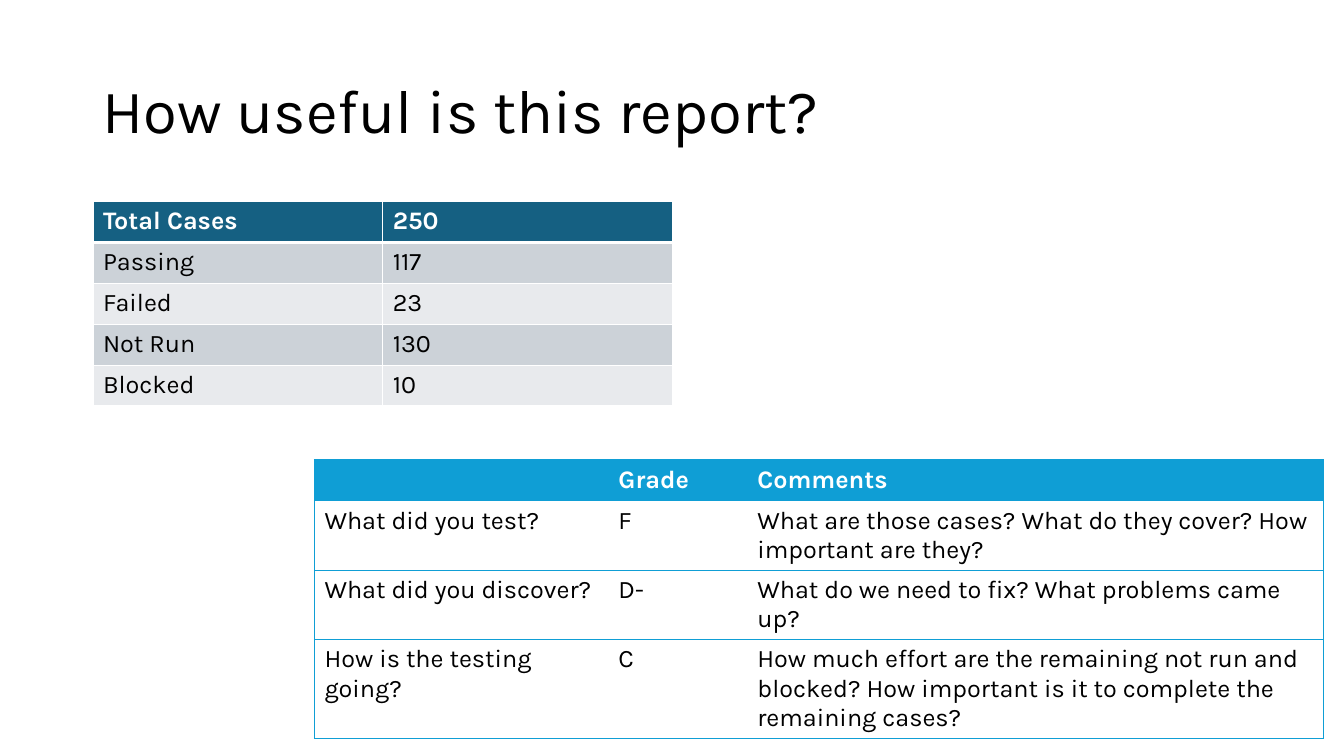
from lxml import etree
from pptx import Presentation
from pptx.dml.color import RGBColor
from pptx.enum.text import MSO_ANCHOR, PP_ALIGN
from pptx.oxml.ns import qn
from pptx.util import Pt

MIDDLE = MSO_ANCHOR.MIDDLE
LEFT = PP_ALIGN.LEFT
FONT = "Karla"
BLACK, WHITE = "000000", "FFFFFF"
TEAL, BLUE = "156082", "0F9ED5"
BANDS = ("CCD2D8", "E8EAED")

COUNTS = [
    ("Total Cases", "250"),
    ("Passing", "117"),
    ("Failed", "23"),
    ("Not Run", "130"),
    ("Blocked", "10"),
]
GRADES = [
    ("", "Grade", "Comments"),
    ("What did you test?", "F",
     "What are those cases? What do they cover? How important are they?"),
    ("What did you discover?", "D-",
     "What do we need to fix? What problems came up?"),
    ("How is the testing going?", "C",
     "How much effort are the remaining not run and blocked? "
     "How important is it to complete the remaining cases?"),
]


def color(code):
    return RGBColor.from_string(code)


def write(frame, text, size, tint, bold=False):
    para = frame.paragraphs[0]
    para.alignment = LEFT
    if text:
        run = para.add_run()
        run.text = text
        font = run.font
        font.name, font.size, font.bold = FONT, Pt(size), bold
        font.color.rgb = color(tint)
    return para


def edge(cell, side, tint, width):
    """Draw one cell border (side L, R, T or B); no tint hides it."""
    props = cell._tc.get_or_add_tcPr()
    line = etree.SubElement(props, qn(f"a:ln{side}"), w=str(Pt(width)))
    if tint:
        fill = etree.SubElement(line, qn("a:solidFill"))
        etree.SubElement(fill, qn("a:srgbClr"), val=tint)
    else:
        etree.SubElement(line, qn("a:noFill"))


def add_grid(slide, box, data, widths, heights, style):
    """Add a table; style(row, col) gives the fill and the L, R, T, B edges."""
    left, top = box
    frame = slide.shapes.add_table(
        len(data), len(widths), Pt(left), Pt(top),
        Pt(sum(widths)), Pt(sum(heights)))
    table = frame.table
    table.horz_banding = False
    for col, width in zip(table.columns, widths):
        col.width = Pt(width)
    for r, (texts, height) in enumerate(zip(data, heights)):
        table.rows[r].height = Pt(height)
        for c, text in enumerate(texts):
            cell = table.cell(r, c)
            head = r == 0
            write(cell.text_frame, text, 18, WHITE if head else BLACK, head)
            fill, edges = style(r, c)
            for side, (tint, width) in zip("LRTB", edges):
                edge(cell, side, tint, width)
            if fill:
                cell.fill.solid()
                cell.fill.fore_color.rgb = color(fill)
            else:
                cell.fill.background()


def add_title(slide, left, top, width, height):
    title = slide.shapes.title
    title.left, title.top = Pt(left), Pt(top)
    title.width, title.height = Pt(width), Pt(height)
    title.text_frame.vertical_anchor = MIDDLE
    para = write(title.text_frame, "How useful is this report?", 44, BLACK)
    para.line_spacing = 0.9


def add_counts(slide, left, top, width, height):
    def style(r, c):
        thin, thick = (WHITE, 1), (WHITE, 3)
        fill = BANDS[(r - 1) % 2] if r else TEAL
        return fill, (thin, thin, thick if r == 1 else thin,
                      thin if r else thick)

    rows = len(COUNTS)
    add_grid(slide, (left, top), COUNTS, [width / 2] * 2,
             [height / rows] * rows, style)


def add_grades(slide, left, top):
    widths = [210, 99.2, 411.4]
    heights = [29.2, 49.2, 49.2, 70.8]

    def style(r, c):
        rule, none = (BLUE, 1), (None, 0)
        return (None if r else BLUE), (
            none if c else rule,
            rule if c == len(widths) - 1 else none,
            rule, rule)

    add_grid(slide, (left, top), GRADES, widths, heights, style)


def main():
    deck = Presentation()
    deck.slide_width, deck.slide_height = Pt(960), Pt(540)
    slide = deck.slides.add_slide(deck.slide_layouts[5])
    add_title(slide, 66, 28.75, 828, 104.4)
    add_counts(slide, 66.4, 144, 414, 146)
    add_grades(slide, 224.6, 328.6)
    deck.save("out.pptx")


if __name__ == "__main__":
    main()
